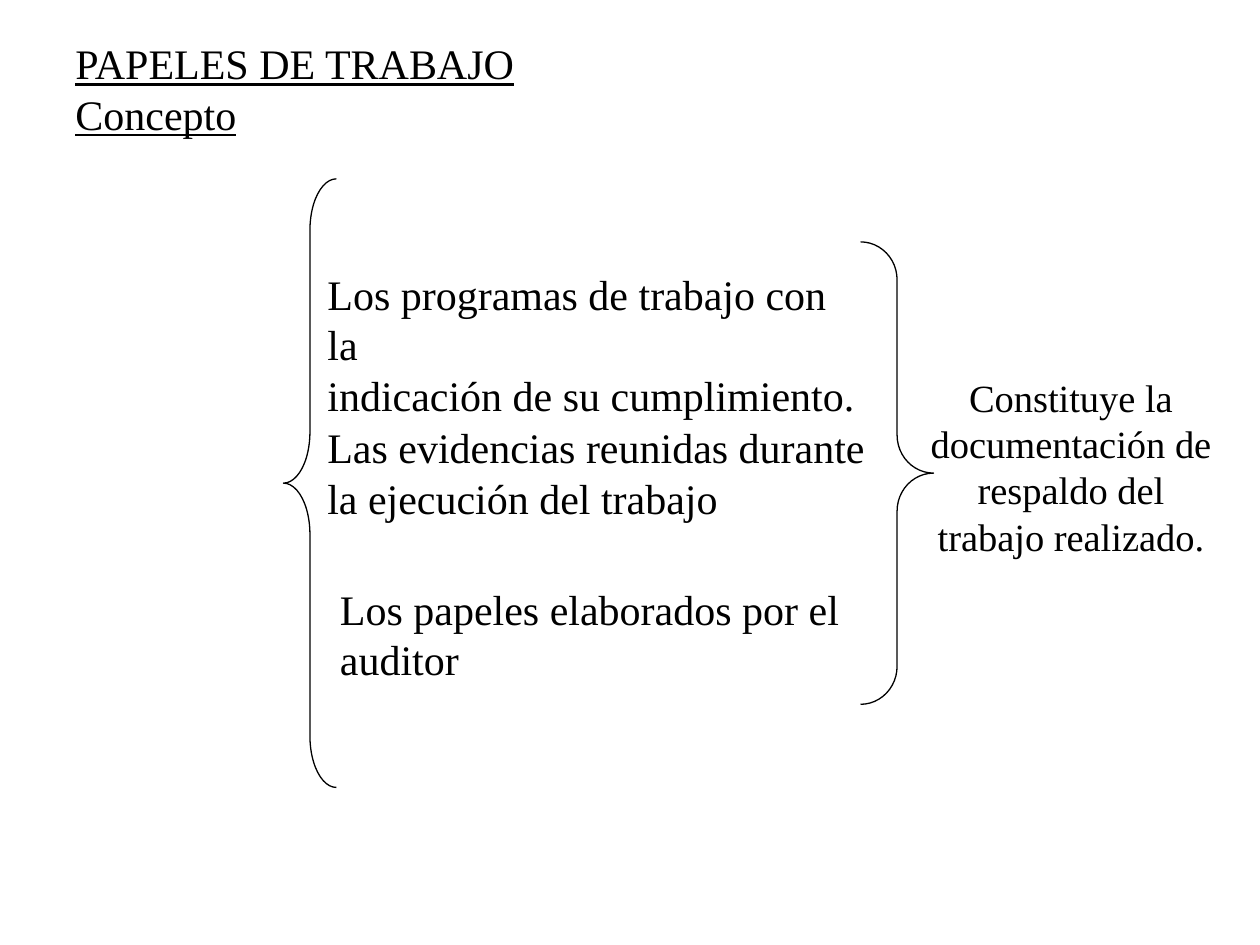
from pptx import Presentation
from pptx.dml.color import RGBColor
from pptx.enum.shapes import MSO_SHAPE
from pptx.enum.text import PP_ALIGN
from pptx.util import Inches, Pt

LEFT_BRACE = MSO_SHAPE.LEFT_BRACE
RIGHT_BRACE = MSO_SHAPE.RIGHT_BRACE
ALIGN_LEFT = PP_ALIGN.LEFT
ALIGN_CENTER = PP_ALIGN.CENTER

FONT = "Times New Roman"
BLACK = "000000"


def color(hex_value):
    return RGBColor.from_string(hex_value)


def add_text(slide, box, lines, size=24, align=ALIGN_LEFT, underline=False, wrap=True):
    """Add a text box with one paragraph for each line."""
    shape = slide.shapes.add_textbox(*map(Inches, box))
    frame = shape.text_frame
    frame.word_wrap = wrap
    for index, line in enumerate(lines):
        paragraph = frame.paragraphs[0] if index == 0 else frame.add_paragraph()
        paragraph.alignment = align
        run = paragraph.add_run()
        run.text = line
        run.font.name = FONT
        run.font.size = Pt(size)
        run.font.underline = underline
        run.font.color.rgb = color(BLACK)


def add_brace(slide, kind, box, curve):
    """Add an unfilled brace; curve is the bend height relative to its width."""
    shape = slide.shapes.add_shape(kind, *map(Inches, box))
    shape.shadow.inherit = False
    shape.adjustments[0] = curve
    shape.fill.background()
    shape.line.color.rgb = color(BLACK)
    shape.line.width = Pt(0.75)


def main():
    presentation = Presentation()
    presentation.slide_width = Inches(10)
    presentation.slide_height = Inches(7.5)
    slide = presentation.slides.add_slide(presentation.slide_layouts[6])

    add_text(slide, (0.5, 0.25, 3.92, 0.9), ["PAPELES DE TRABAJO Concepto"], underline=True)
    add_brace(slide, LEFT_BRACE, (2.25, 1.42, 0.42, 4.83), 0.97)
    add_text(slide, (2.5, 2.08, 4.48, 0.9),
             ["Los programas de trabajo con la", "indicación de su cumplimiento."], wrap=False)
    add_text(slide, (2.6, 4.58, 4.16, 0.9),
             ["Los papeles elaborados por el", "auditor"], wrap=False)
    add_brace(slide, RIGHT_BRACE, (6.83, 1.92, 0.58, 3.67), 0.52)
    add_text(slide, (7.25, 2.92, 2.5, 1.57),
             ["Constituye la", "documentación de respaldo del trabajo realizado."],
             size=22, align=ALIGN_CENTER)
    add_text(slide, (2.5, 3.3, 5, 0.9),
             ["Las evidencias reunidas durante", "la ejecución del trabajo"])

    presentation.save("out.pptx")


if __name__ == "__main__":
    main()
